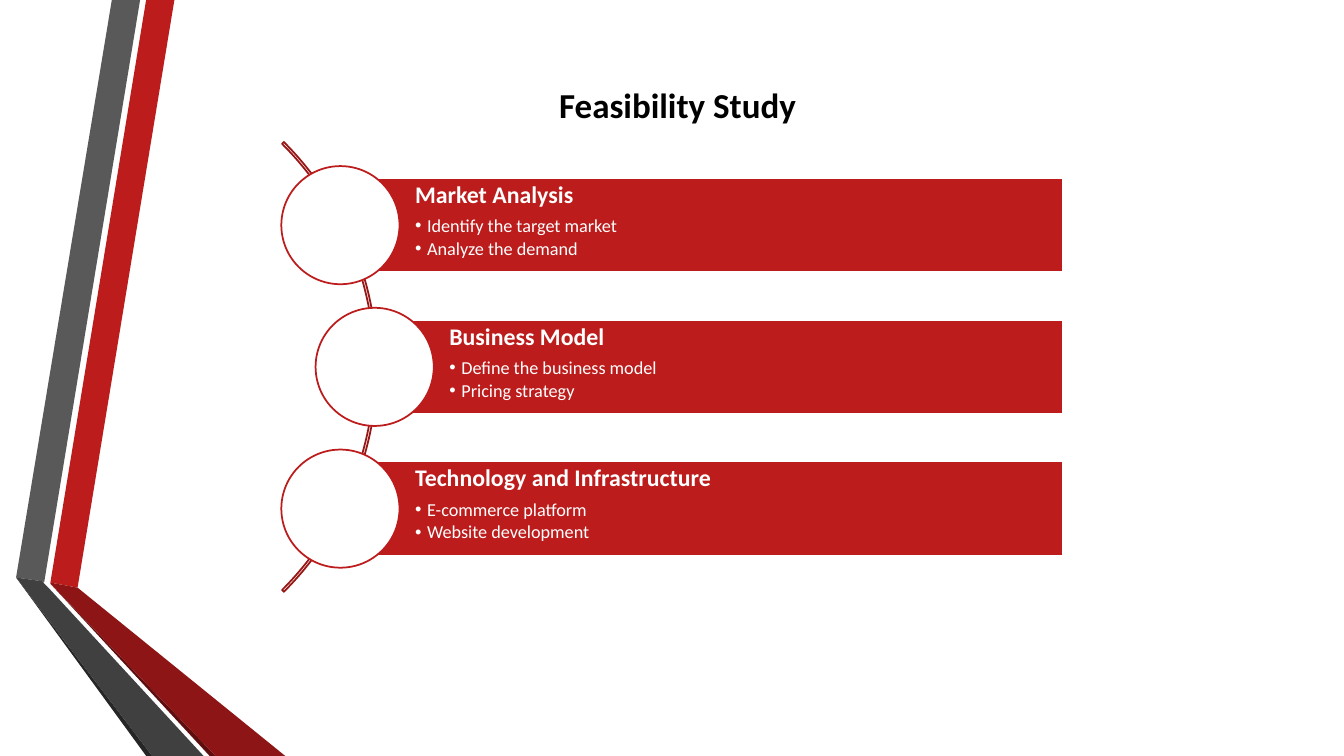
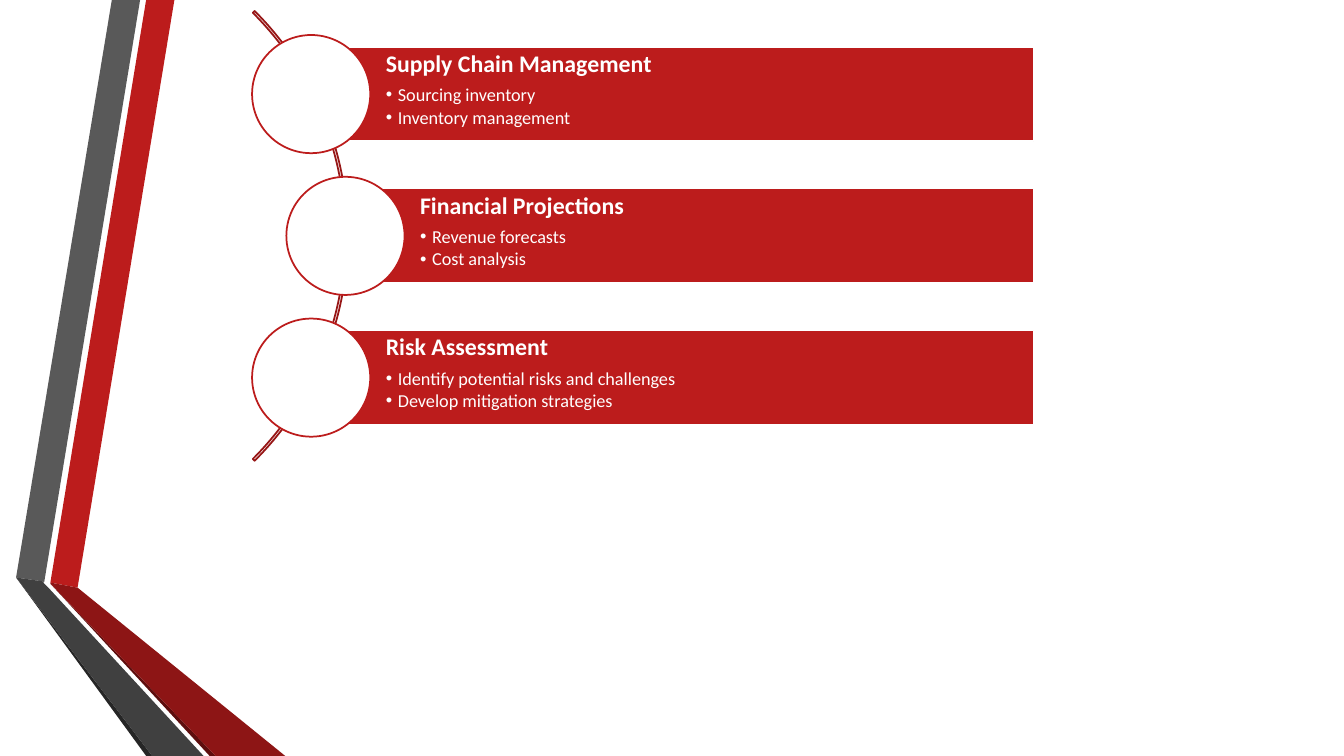
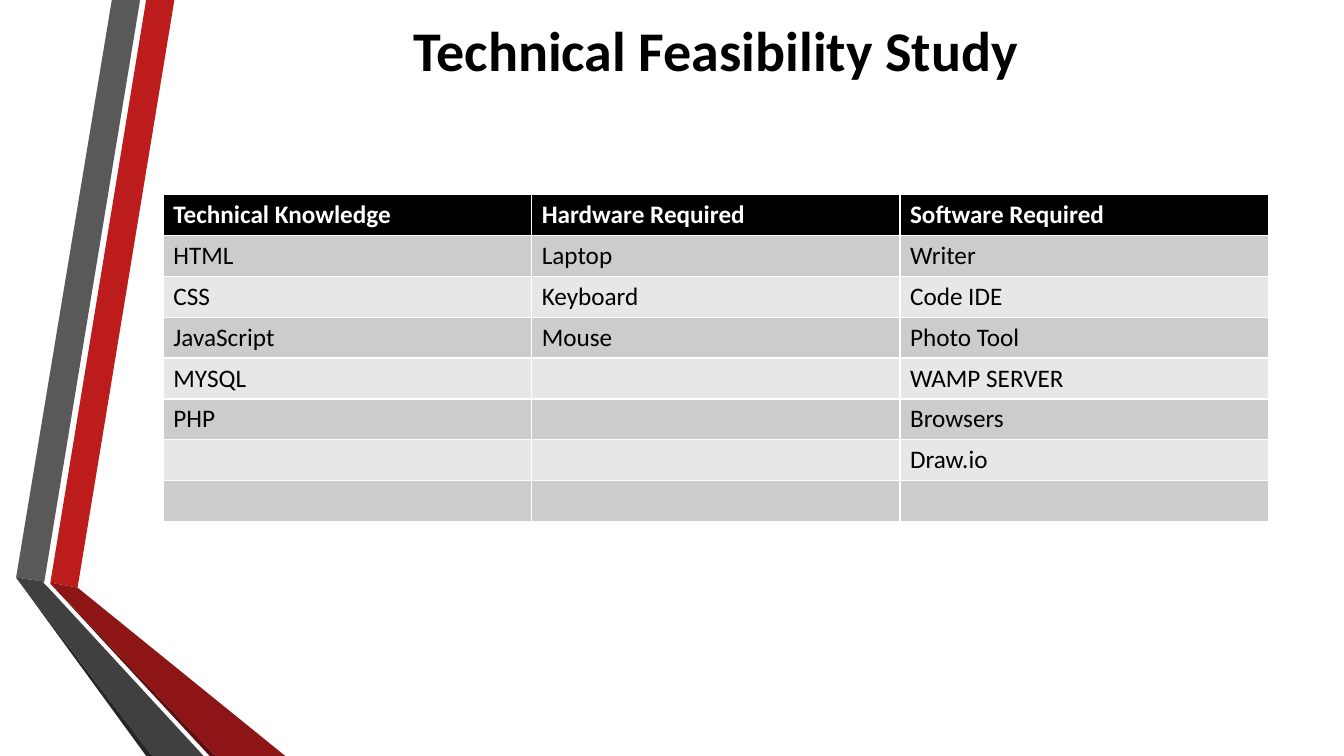
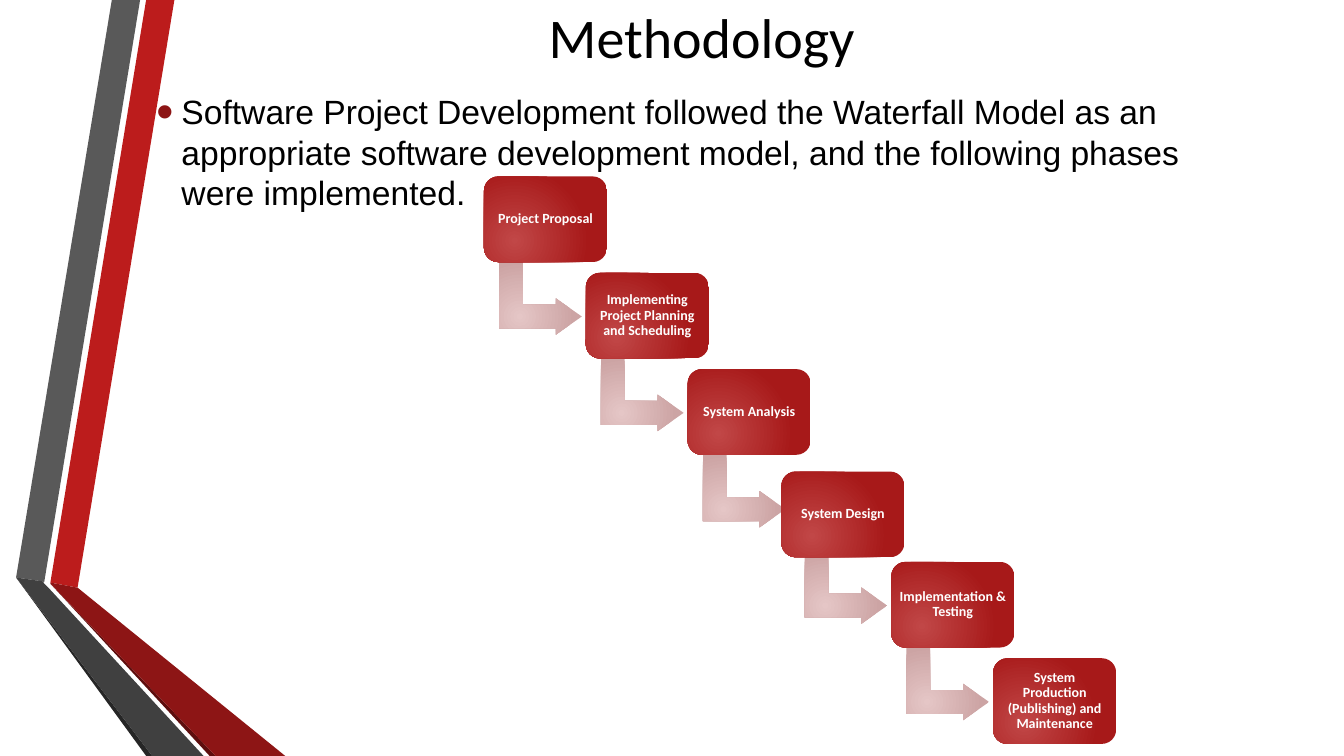
from lxml.etree import SubElement
from pptx import Presentation
from pptx.dml.color import RGBColor
from pptx.enum.shapes import MSO_SHAPE
from pptx.enum.text import MSO_ANCHOR, MSO_AUTO_SIZE, PP_ALIGN
from pptx.oxml import parse_xml
from pptx.oxml.ns import nsdecls, qn
from pptx.util import Inches, Pt

RED = RGBColor(0xBC, 0x1C, 0x1C)
DEEP = RGBColor(0x8D, 0x15, 0x15)
DARK = RGBColor(0x5E, 0x0E, 0x0E)
ARC = RGBColor(0x97, 0x16, 0x16)
GREY = RGBColor(0x59, 0x59, 0x59)
COAL = RGBColor(0x40, 0x40, 0x40)
SOOT = RGBColor(0x26, 0x26, 0x26)
SILVER = RGBColor(0xCC, 0xCC, 0xCC)
PALE = RGBColor(0xE7, 0xE7, 0xE7)
BLACK = RGBColor(0, 0, 0)
WHITE = RGBColor(255, 255, 255)
BOX_GLOW = RGBColor(0xC1, 0x47, 0x47), RGBColor(0xA7, 0x19, 0x19)
ARROW_GLOW = RGBColor(0xE5, 0xC6, 0xC6), RGBColor(0xCC, 0xA4, 0xA4)

HEAD = {"name": "Calibri", "size": Pt(17), "bold": True}
ITEM = {"name": "Calibri", "size": Pt(13), "bold": False}
TITLE = {"name": "Calibri", "size": Pt(40), "bold": True}
SMALL = {"name": "Calibri", "size": Pt(25), "bold": True}
PLAIN = {"name": "Calibri", "size": Pt(40), "bold": False}
BODY = {"name": "Arial", "size": Pt(24), "bold": False}
CELL = {"name": "Calibri", "size": Pt(18), "bold": False}
STEP = {"name": "Calibri", "size": Pt(10), "bold": True}


def write(par, text, look, color, bullet=None, **form):
    if bullet:
        left, hang, tint, size = bullet
        props = par._p.get_or_add_pPr()
        props.set("marL", str(Inches(left)))
        props.set("indent", str(-Inches(hang)))
        SubElement(SubElement(props, qn("a:buClr")), qn("a:srgbClr")).set("val", str(tint))
        SubElement(props, qn("a:buSzPct")).set("val", str(size * 1000))
        SubElement(props, qn("a:buFont")).set("typeface", "Arial")
        SubElement(props, qn("a:buChar")).set("char", "•")
    for key, value in form.items():
        setattr(par, key, value)
    run = par.add_run()
    run.text = text
    for key, value in look.items():
        setattr(run.font, key, value)
    run.font.color.rgb = color


def draw(slide, kind, box, fill=None, line=None, glow=None):
    shape = slide.shapes.add_shape(kind, *map(Inches, box))
    shape.shadow.inherit = False
    if fill is None:
        shape.fill.background()
    else:
        shape.fill.solid()
        shape.fill.fore_color.rgb = fill
    if line is None:
        shape.line.fill.background()
    else:
        shape.line.color.rgb = line
        shape.line.width = Pt(1.25)
    if glow:
        props = shape.element.spPr
        props.replace(props.find(qn("a:solidFill")), parse_xml(
            f'<a:gradFill {nsdecls("a")} rotWithShape="1"><a:gsLst>'
            f'<a:gs pos="0"><a:srgbClr val="{glow[0]}"/></a:gs>'
            f'<a:gs pos="100000"><a:srgbClr val="{glow[1]}"/></a:gs></a:gsLst>'
            '<a:path path="circle"><a:fillToRect l="50000" t="100000" r="100000" b="50000"/>'
            '</a:path></a:gradFill>'))
    return shape


WIDE, HIGH = 13.33, 7.5
prs = Presentation()
prs.slide_width, prs.slide_height = Inches(WIDE), Inches(HIGH)

pages = [
    (5, "Feasibility Study", (2.87, 0.78, 7.7, 0.52), SMALL),
    (6, None, None, None),
    (5, "Technical Feasibility Study", (1.62, 0, 10.96, 0.97), TITLE),
    (1, "Methodology", (1.48, -0.24, 10.96, 1.19), PLAIN),
]
slides = []
for layout, text, box, look in pages:
    slide = prs.slides.add_slide(prs.slide_layouts[layout])
    slides.append(slide)
    if text:
        title = slide.shapes.title
        title.left, title.top, title.width, title.height = map(Inches, box)
        frame = title.text_frame
        frame.auto_size = MSO_AUTO_SIZE.NONE
        frame.vertical_anchor = MSO_ANCHOR.MIDDLE
        write(frame.paragraphs[0], text, look, BLACK, alignment=PP_ALIGN.CENTER)

bands = [
    (RED, [(50, 578), (77, 583), (173, 0), (145, 0)]),
    (GREY, [(139, 0), (111, 0), (16, 573), (44, 577)]),
    (SOOT, [(16, 573), (145, 750), (151, 750)]),
    (DARK, [(50, 579), (208, 750), (214, 750)]),
    (DEEP, [(50, 579), (214, 750), (283, 750), (77, 583), (50, 578)]),
    (COAL, [(202, 750), (48, 583), (43, 578), (44, 577), (16, 573), (151, 750)]),
]
tree = prs.slide_master.element.cSld.spTree
for rank, (color, dots) in enumerate(bands):
    pen = slides[0].shapes.build_freeform(*dots[0], scale=Inches(0.01))
    pen.add_line_segments(dots[1:], close=True)
    band = pen.convert_to_shape()
    band.shadow.inherit = False
    band.fill.solid()
    band.fill.fore_color.rgb = color
    band.line.fill.background()
    band.element.nvSpPr.cNvPr.set("id", str(20 + rank))
    tree.insert(2 + rank, band.element)

lists = [
    (slides[0], 2.79, 3.64, [
        ("Market Analysis", "Identify the target market", "Analyze the demand"),
        ("Business Model", "Define the business model", "Pricing strategy"),
        ("Technology and Infrastructure", "E-commerce platform", "Website development"),
    ]),
    (slides[1], 2.5, 2.34, [
        ("Supply Chain Management", "Sourcing inventory", "Inventory management"),
        ("Financial Projections", "Revenue forecasts", "Cost analysis"),
        ("Risk Assessment", "Identify potential risks and challenges",
         "Develop mitigation strategies"),
    ]),
]
unit = HIGH / 32
disc, bar, pitch, ring = 5 * unit, 4 * unit, 6 * unit, 6.31
for slide, left, mid, topics in lists:
    arc = draw(slide, MSO_SHAPE.BLOCK_ARC, (left - 5.36, mid - ring / 2, ring, ring), line=ARC)
    for spot, value in enumerate((189, 27, 0.004)):
        arc.adjustments[spot] = value
    for row, (head, *items) in enumerate(topics):
        x = left + (0.34 if row == 1 else 0)
        y = mid + (row - 1) * pitch
        start = x + disc / 2
        panel = draw(slide, MSO_SHAPE.RECTANGLE,
                     (start, y - bar / 2, left + 7.75 - start, bar), RED, WHITE)
        frame = panel.text_frame
        frame.vertical_anchor = MSO_ANCHOR.TOP
        frame.margin_left = Inches(0.74)
        frame.margin_top = frame.margin_right = frame.margin_bottom = Inches(0.05)
        write(frame.paragraphs[0], head, HEAD, WHITE, alignment=PP_ALIGN.LEFT,
              line_spacing=0.9, space_after=Pt(6))
        for item in items:
            write(frame.add_paragraph(), item, ITEM, WHITE, (0.12, 0.12, WHITE, 100),
                  level=1, alignment=PP_ALIGN.LEFT, line_spacing=0.9, space_after=Pt(2))
        draw(slide, MSO_SHAPE.OVAL, (x, y - disc / 2, disc, disc), WHITE, RED)

needs = [
    ("Technical Knowledge", "Hardware Required", "Software Required"),
    ("HTML", "Laptop", "Writer"),
    ("CSS", "Keyboard", "Code IDE"),
    ("JavaScript", "Mouse", "Photo Tool"),
    ("MYSQL", "", "WAMP SERVER"),
    ("PHP", "", "Browsers"),
    ("", "", "Draw.io"),
    ("", "", ""),
]
table = slides[2].shapes.add_table(
    len(needs), 3, *map(Inches, (1.62, 1.93, 10.96, 3.24))).table
for row, texts in enumerate(needs):
    for col, text in enumerate(texts):
        cell = table.cell(row, col)
        cell.fill.solid()
        cell.fill.fore_color.rgb = (SILVER if row % 2 else PALE) if row else BLACK
        if text:
            write(cell.text_frame.paragraphs[0], text, {**CELL, "bold": row == 0},
                  BLACK if row else WHITE)

slide = slides[3]
body = slide.placeholders[1]
body.left, body.top, body.width, body.height = map(Inches, (1.33, 0.18, 10.96, 2.65))
frame = body.text_frame
frame.auto_size = MSO_AUTO_SIZE.NONE
frame.vertical_anchor = MSO_ANCHOR.MIDDLE
write(frame.paragraphs[0],
      "Software Project Development followed the Waterfall Model as an appropriate "
      "software development model, and the following phases were implemented.",
      BODY, BLACK, (0.37, 0.25, DEEP, 145), space_before=Pt(0), space_after=Pt(6))

steps = ["Project Proposal", "Implementing Project Planning and Scheduling",
         "System Analysis", "System Design", "Implementation & Testing",
         "System Production (Publishing) and Maintenance"]
across, down = 1.01, (6.53 - 1.75) / 5
for rank, text in enumerate(steps):
    x, y = 4.8 + rank * across, 1.75 + rank * down
    if text != steps[-1]:
        arrow = draw(slide, MSO_SHAPE.BENT_UP_ARROW, (x + 0.2, y + 0.8, 0.72, 0.82),
                     WHITE, glow=ARROW_GLOW)
        arrow.rotation = 90
        for spot, value in enumerate((0.328, 0.25, 0.358)):
            arrow.adjustments[spot] = value
    if text == "System Design":
        x, y = x - 0.08, y + 0.06
    step = draw(slide, MSO_SHAPE.ROUNDED_RECTANGLE, (x, y, 1.22, 0.85), WHITE, glow=BOX_GLOW)
    frame = step.text_frame
    frame.word_wrap = True
    frame.vertical_anchor = MSO_ANCHOR.MIDDLE
    for side in ("left", "top", "right", "bottom"):
        setattr(frame, "margin_" + side, Inches(0.04))
    write(frame.paragraphs[0], text, STEP, WHITE, alignment=PP_ALIGN.CENTER, line_spacing=0.9)

prs.save("out.pptx")
